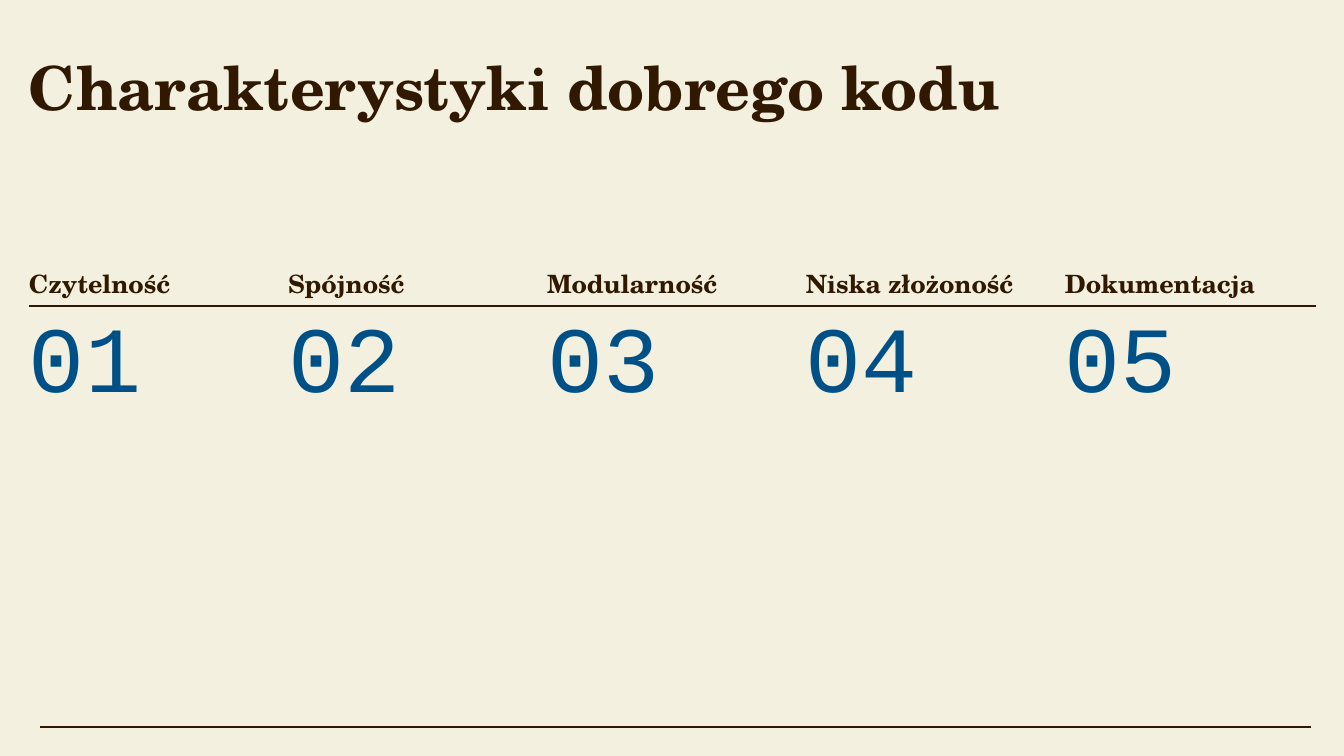
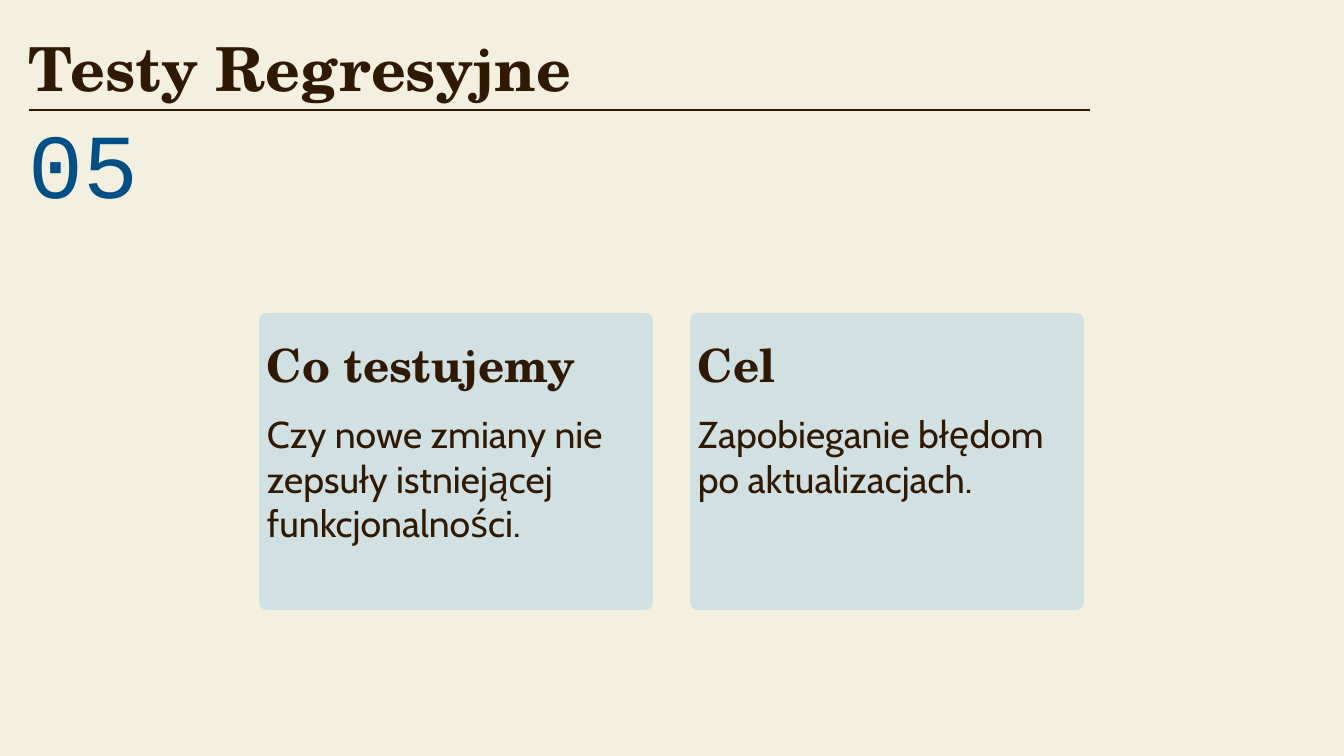
"""Build two slides on good code and regression tests."""
from dataclasses import dataclass

from lxml.etree import SubElement
from pptx import Presentation
from pptx.dml.color import RGBColor
from pptx.enum.shapes import MSO_CONNECTOR, MSO_SHAPE
from pptx.enum.text import MSO_ANCHOR, PP_ALIGN
from pptx.oxml.ns import qn
from pptx.util import Pt

QUALITIES_TITLE = "Charakterystyki dobrego kodu"
QUALITIES = ["Czytelność", "Spójność", "Modularność", "Niska złożoność", "Dokumentacja"]
TESTS_TITLE = "Testy Regresyjne"
TESTS_NUMBER = 5
CARDS = [
    ("Co testujemy", "Czy nowe zmiany nie zepsuły istniejącej funkcjonalności."),
    ("Cel", "Zapobieganie błędom po aktualizacjach."),
]

PX = 914400 / 134.4
WIDTH, HEIGHT = 1344, 756
LEFT = 29
COLUMN_PITCH = 259
QUALITY_RULE_Y = 306
TESTS_RULE_Y = 110
CARD_LEFT, CARD_PITCH, CARD_WIDTH = 267, 431, 378
HEADING_INSETS = (0, 0, 13, 0)
NUMBER_INSETS = (0, 13, 0, 4)
BODY_INSETS = (0, 0, 0, 0)


@dataclass(frozen=True)
class Style:
    """Describe the look of one kind of text."""

    font: str
    size: float
    color: RGBColor
    bold: bool = False
    spacing: float = 1.0
    insets: tuple = HEADING_INSETS
    anchor: MSO_ANCHOR = MSO_ANCHOR.MIDDLE


class Theme:
    """Hold the shared colours, line widths and text styles."""

    background = RGBColor.from_string("F3F0DF")
    ink = RGBColor.from_string("301900")
    accent = RGBColor.from_string("005088")
    card = RGBColor.from_string("D0E0E3")
    rule_width = 0.75
    card_border = 9
    title = Style("TeX Gyre Schola", 32.5, ink, True)
    label = Style("TeX Gyre Schola", 13.5, ink, True)
    card_heading = Style("TeX Gyre Schola", 24.5, ink, True)
    card_body = Style("Cabin", 20, ink, insets=BODY_INSETS, anchor=MSO_ANCHOR.TOP)
    number = Style("Courier New", 50, accent, spacing=0.8, insets=NUMBER_INSETS)
    section_number = Style("Courier New", 49, accent, spacing=0.8, insets=NUMBER_INSETS)


def emu(*lengths):
    """Turn px lengths into EMU."""
    return [round(length * PX) for length in lengths]


def write(shape, text, style):
    """Fill a shape with one styled paragraph."""
    frame = shape.text_frame
    frame.word_wrap = True
    frame.vertical_anchor = style.anchor
    (frame.margin_left, frame.margin_top,
     frame.margin_right, frame.margin_bottom) = emu(*style.insets)
    paragraph = frame.paragraphs[0]
    paragraph.text = text
    paragraph.alignment = PP_ALIGN.LEFT
    paragraph.line_spacing = style.spacing
    paragraph.font.name = style.font
    paragraph.font.size = Pt(style.size)
    paragraph.font.bold = style.bold
    paragraph.font.color.rgb = style.color


def add_text(slide, text, style, *box):
    """Add a text box."""
    write(slide.shapes.add_textbox(*emu(*box)), text, style)


def add_number(slide, number, style, left, top):
    """Add a two-digit number under a rule."""
    add_text(slide, f"{number:02d}", style, left, top, 237, 113)


def add_rule(slide, left, right, y):
    """Add a thin horizontal line."""
    rule = slide.shapes.add_connector(MSO_CONNECTOR.STRAIGHT, *emu(left, y, right, y))
    rule.line.color.rgb = Theme.ink
    rule.line.width = Pt(Theme.rule_width)
    SubElement(rule._element.spPr, qn("a:effectLst"))


def add_panel(slide, text, style, *box):
    """Add a filled rectangle whose thick border rounds its corners."""
    panel = slide.shapes.add_shape(MSO_SHAPE.RECTANGLE, *emu(*box))
    panel.shadow.inherit = False
    panel.fill.solid()
    panel.fill.fore_color.rgb = Theme.card
    panel.line.color.rgb = Theme.card
    panel.line.width = Pt(Theme.card_border)
    SubElement(panel.line._get_or_add_ln(), qn("a:round"))
    write(panel, text, style)


def add_slide(presentation, title, title_height):
    """Add a blank slide with a title."""
    slide = presentation.slides.add_slide(presentation.slide_layouts[6])
    add_text(slide, title, Theme.title, LEFT, 24, 1100, title_height)
    return slide


def build_qualities(presentation):
    """Build the slide with the numbered qualities of good code."""
    slide = add_slide(presentation, QUALITIES_TITLE, 125)
    for index, quality in enumerate(QUALITIES):
        left = LEFT + index * COLUMN_PITCH
        add_text(slide, quality, Theme.label, left, QUALITY_RULE_Y - 45, COLUMN_PITCH, 44)
        add_number(slide, index + 1, Theme.number, left, QUALITY_RULE_Y - 1)
    add_rule(slide, LEFT, 1316, QUALITY_RULE_Y)
    add_rule(slide, 40, 1311, 727)


def build_tests(presentation):
    """Build the slide with the regression test cards."""
    slide = add_slide(presentation, TESTS_TITLE, 86)
    add_rule(slide, LEFT, 1090, TESTS_RULE_Y)
    add_number(slide, TESTS_NUMBER, Theme.section_number, LEFT, TESTS_RULE_Y + 1)
    for index, (heading, body) in enumerate(CARDS):
        left = CARD_LEFT + index * CARD_PITCH
        add_panel(slide, heading, Theme.card_heading, left, 321, CARD_WIDTH, 86)
        add_panel(slide, body, Theme.card_body, left, 411, CARD_WIDTH, 191)


def main():
    """Build and save the presentation."""
    presentation = Presentation()
    presentation.slide_width, presentation.slide_height = emu(WIDTH, HEIGHT)
    background = presentation.slide_master.background.fill
    background.solid()
    background.fore_color.rgb = Theme.background
    build_qualities(presentation)
    build_tests(presentation)
    presentation.save("out.pptx")


if __name__ == "__main__":
    main()
